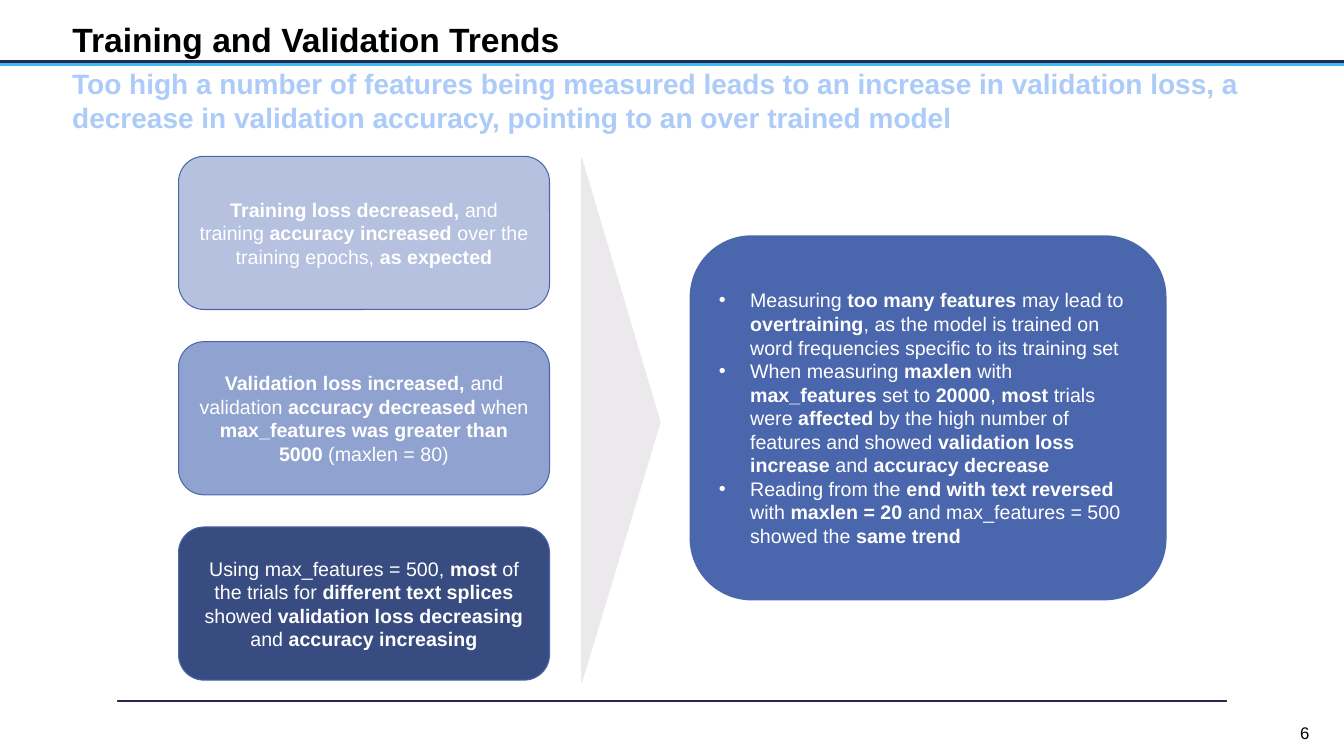
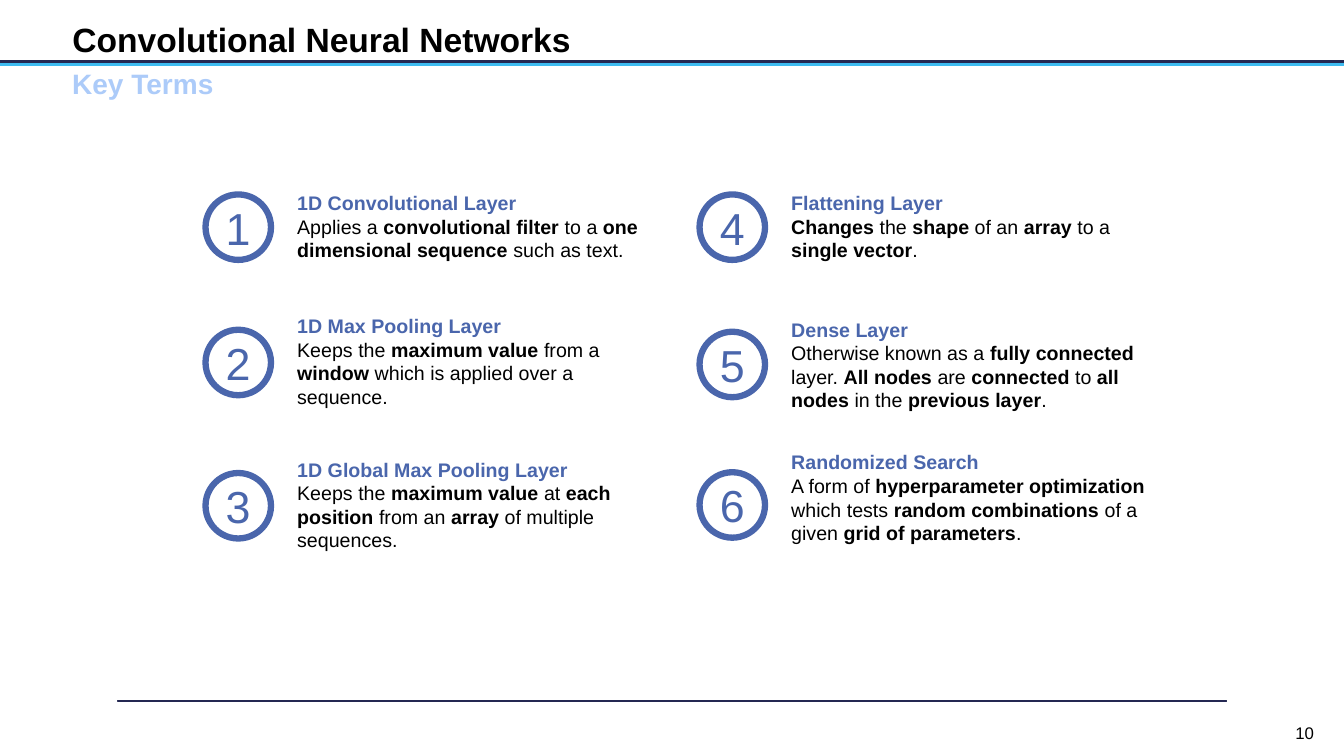
from lxml import etree
from pptx import Presentation
from pptx.dml.color import RGBColor
from pptx.enum.shapes import MSO_CONNECTOR, MSO_SHAPE
from pptx.enum.text import MSO_ANCHOR, MSO_AUTO_SIZE, PP_ALIGN
from pptx.oxml.ns import qn
from pptx.util import Cm, Pt

RECT, ROUND = MSO_SHAPE.RECTANGLE, MSO_SHAPE.ROUNDED_RECTANGLE
OVAL, WEDGE = MSO_SHAPE.OVAL, MSO_SHAPE.ISOSCELES_TRIANGLE
LEFT, CENTER = PP_ALIGN.LEFT, PP_ALIGN.CENTER
TOP, MIDDLE = MSO_ANCHOR.TOP, MSO_ANCHOR.MIDDLE
FIXED = MSO_AUTO_SIZE.NONE
STRAIGHT = MSO_CONNECTOR.STRAIGHT

WIDTH, HEIGHT = 33.87, 19.05
FONT = "Arial"
COLORS = {
    "black": "000000",
    "white": "FFFFFF",
    "navy": "242852",
    "ink": "121429",
    "cyan": "3EBBF0",
    "sky": "ACCBF9",
    "blue": "4A66AC",
    "pale": "B5C1DF",
    "mid": "90A2CF",
    "dark": "384C81",
    "gray": "EBE9EC",
}


def rgb(name):
    return RGBColor.from_string(COLORS[name])


def write(frame, *lines, size=14, color="black", bold=False, align=LEFT,
          before=0, bullet=False):
    """Append one paragraph per line; text between ** marks is bold."""
    for line in lines:
        para = frame.paragraphs[0] if not frame.text else frame.add_paragraph()
        para.alignment = align
        para.space_before = Pt(before)
        if bullet:
            props = para._p.get_or_add_pPr()
            props.set("marL", str(Cm(0.79)))
            props.set("indent", str(-Cm(0.79)))
            etree.SubElement(props, qn("a:buFont"), typeface=FONT)
            etree.SubElement(props, qn("a:buChar"), char="•")
        for i, part in enumerate(line.split("**")):
            if part:
                run = para.add_run()
                run.text = part
                font = run.font
                font.name, font.size = FONT, Pt(size)
                font.bold = bold or i % 2 == 1
                font.color.rgb = rgb(color)


class Deck:
    def __init__(self):
        self.prs = Presentation()
        self.prs.slide_width, self.prs.slide_height = Cm(WIDTH), Cm(HEIGHT)
        self.slide = None

    def page(self, title, lead, number):
        """Start a slide with its title, bands, lead line and number."""
        self.slide = self.prs.slides.add_slide(self.prs.slide_layouts[5])
        self.shape(RECT, 2.97, 17.65, 27.94, 0.03, "ink", "navy", 1)
        self.rule(1.55)
        head = self.slide.shapes.title
        head.left, head.top = Cm(1.57), Cm(0.43)
        head.width, head.height = Cm(30.73), Cm(1.09)
        frame = head.text_frame
        frame.auto_size, frame.vertical_anchor = FIXED, MIDDLE
        write(frame, title, size=24, bold=True)
        write(self.box(1.57, 1.55, 30.73, 1.93), lead,
              size=20, color="sky", bold=True, before=3.8)
        write(self.box(31.9, 17.88, 1.96, 1.17, anchor=MIDDLE), str(number),
              size=12, align=CENTER)

    def rule(self, y):
        """Draw a full-width line with a hard shadow under it."""
        line = self.slide.shapes.add_connector(
            STRAIGHT, 0, Cm(y), Cm(WIDTH), Cm(y))
        line.line.color.rgb, line.line.width = rgb("navy"), Pt(2.25)
        props = line._element.spPr
        effects = etree.SubElement(props, qn("a:effectLst"))
        shadow = etree.SubElement(effects, qn("a:outerShdw"), blurRad="0",
                                  dist=str(Pt(2)), dir="5400000")
        etree.SubElement(shadow, qn("a:srgbClr"), val=COLORS["cyan"])

    def box(self, x, y, w, h, inset=0.13, anchor=TOP):
        area = self.slide.shapes.add_textbox(Cm(x), Cm(y), Cm(w), Cm(h))
        frame = area.text_frame
        frame.word_wrap, frame.vertical_anchor = True, anchor
        frame.margin_top = frame.margin_bottom = Cm(inset)
        return frame

    def shape(self, kind, x, y, w, h, fill, edge, weight):
        item = self.slide.shapes.add_shape(kind, Cm(x), Cm(y), Cm(w), Cm(h))
        item.shadow.inherit = False
        item.fill.solid()
        item.fill.fore_color.rgb = rgb(fill)
        item.line.color.rgb, item.line.width = rgb(edge), Pt(weight)
        frame = item.text_frame
        frame.word_wrap, frame.vertical_anchor = True, MIDDLE
        frame.margin_top = frame.margin_bottom = Cm(0.25)
        return item

    def card(self, x, y, w, h, fill, *lines, weight=0.75, **style):
        item = self.shape(ROUND, x, y, w, h, fill, "blue", weight)
        write(item.text_frame, *lines, color="white", **style)

    def wedge(self, x, y, w, h):
        """Draw a triangle that points right; sizes are before rotation."""
        item = self.shape(WEDGE, x, y, w, h, "gray", "gray", 0.75)
        item.adjustments[0] = 0.504
        item.rotation = 90

    def term(self, number, x, y, top, name, text):
        """Draw a numbered ring at y and its definition from top."""
        ring = self.shape(OVAL, x, y, 1.65, 1.65, "white", "blue", 4.5)
        write(ring.text_frame, str(number),
              size=32, color="blue", align=CENTER)
        frame = self.box(x + 2.06, top, 9.7, 2.9, inset=0.25)
        write(frame, name, color="blue", bold=True)
        write(frame, text)


CARDS = [
    ("pale", "**Training loss decreased, **and training **accuracy increased "
             "**over the training epochs, **as expected**"),
    ("mid", "**Validation loss increased, **and validation **accuracy "
            "decreased **when **max_features was greater than 5000 **"
            "(maxlen = 80)"),
    ("dark", "Using max_features = 500, **most** of the trials for "
             "**different text splices **showed **validation loss "
             "decreasing **and **accuracy increasing**"),
]
POINTS = [
    "Measuring **too many features **may lead to **overtraining**, as the "
    "model is trained on word frequencies specific to its training set",
    "When measuring **maxlen** with **max_features **set to **20000**, "
    "**most** trials were **affected** by the high number of features and "
    "showed **validation loss increase** and **accuracy decrease**",
    "Reading from the **end with text reversed **with **maxlen = 20 **and "
    "max_features = 500 showed the **same trend**",
]
# Ring top, text top, name, definition
TERMS = [
    (4.9, 4.57, "1D Convolutional Layer",
     "Applies a **convolutional filter **to a **one dimensional sequence** "
     "such as text."),
    (8.31, 7.67, "1D Max Pooling Layer",
     "Keeps the **maximum value **from a **window** which is applied over "
     "a sequence."),
    (11.92, 11.28, "1D Global Max Pooling Layer",
     "Keeps the **maximum value **at **each position** from an **array** "
     "of multiple sequences."),
    (4.9, 4.57, "Flattening Layer",
     "**Changes** the **shape** of an **array** to a **single vector**."),
    (8.36, 7.75, "Dense Layer",
     "Otherwise known as a **fully connected **layer. **All nodes **are "
     "**connected** to **all nodes** in the **previous layer**."),
    (11.9, 11.1, "Randomized Search",
     "A form of **hyperparameter optimization **which tests **random "
     "combinations **of a given **grid of parameters**."),
]


def trends(deck):
    deck.page("Training and Validation Trends",
              "Too high a number of features being measured leads to an "
              "increase in validation loss, a decrease in validation "
              "accuracy, pointing to an over trained model", 6)
    for row, (fill, text) in enumerate(CARDS):
        deck.card(4.5, 3.94 + row * 4.67, 9.35, 3.86, fill, text,
                  align=CENTER)
    deck.wedge(9.04, 9.6, 13.21, 1.98)
    deck.card(17.42, 5.97, 11.94, 9.12, "blue", *POINTS,
              weight=2.25, bullet=True)


def terms(deck):
    deck.page("Convolutional Neural Networks", "Key Terms", 10)
    for i, (y, top, name, text) in enumerate(TERMS):
        deck.term(i + 1, 5.18 + i // 3 * 12.45, y, top, name, text)


def main():
    deck = Deck()
    trends(deck)
    terms(deck)
    deck.prs.save("out.pptx")


if __name__ == "__main__":
    main()
